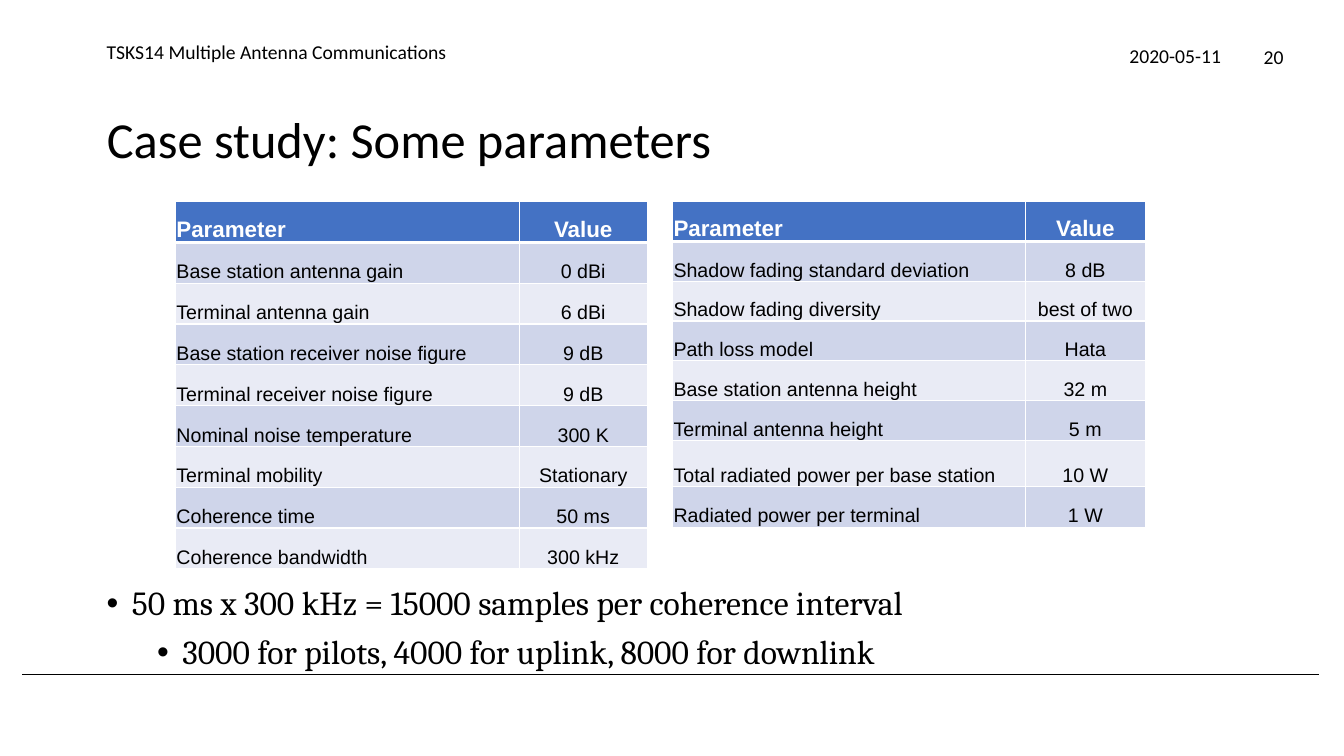
import dataclasses

import lxml.etree
import pptx
import pptx.dml.color
import pptx.enum.shapes
import pptx.enum.text
import pptx.oxml.ns
import pptx.util

Inches, Pt = pptx.util.Inches, pptx.util.Pt
ALIGN = pptx.enum.text.PP_ALIGN
ANCHOR = pptx.enum.text.MSO_ANCHOR


@dataclasses.dataclass(frozen=True)
class Theme:
    ink: str = "000000"
    paper: str = "FFFFFF"
    head: str = "4472C4"
    bands: tuple = ("CFD5EA", "E9EBF5")
    sans: str = "Calibri"
    serif: str = "Cambria"
    grid: str = "Arial"
    title: int = 36
    body: int = 24
    label: int = 16
    small: int = 14


THEME = Theme()

LEFT = [
    ("Parameter", "Value"),
    ("Base station antenna gain", "0 dBi"),
    ("Terminal antenna gain", "6 dBi"),
    ("Base station receiver noise figure", "9 dB"),
    ("Terminal receiver noise figure", "9 dB"),
    ("Nominal noise temperature", "300 K"),
    ("Terminal mobility", "Stationary"),
    ("Coherence time", "50 ms"),
    ("Coherence bandwidth", "300 kHz"),
]
RIGHT = [
    ("Parameter", "Value"),
    ("Shadow fading standard deviation", "8 dB"),
    ("Shadow fading diversity", "best of two"),
    ("Path loss model", "Hata"),
    ("Base station antenna height", "32 m"),
    ("Terminal antenna height", "5 m"),
    ("Total radiated power per base station", "10 W"),
    ("Radiated power per terminal", "1 W"),
]
POINTS = [
    "50 ms x 300 kHz = 15000 samples per coherence interval",
    "3000 for pilots, 4000 for uplink, 8000 for downlink",
]


def rgb(code):
    return pptx.dml.color.RGBColor.from_string(code)


def node(parent, tag, **attrs):
    """Append an XML child such as a:ln to parent."""
    return lxml.etree.SubElement(parent, pptx.oxml.ns.qn(tag), attrs)


def assign(item, values):
    for name, value in values.items():
        setattr(item, name, value)


def write(para, text, face, size, color=THEME.ink, bold=False, align=ALIGN.LEFT):
    para.alignment = align
    run = para.add_run()
    run.text = text
    assign(run.font, {"name": face, "size": Pt(size), "bold": bold})
    run.font.color.rgb = rgb(color)


def setup(frame, anchor=ANCHOR.TOP):
    assign(frame, {
        "word_wrap": True,
        "auto_size": pptx.enum.text.MSO_AUTO_SIZE.NONE,
        "vertical_anchor": anchor,
    })


def add_box(slide, *box):
    return slide.shapes.add_textbox(*map(Inches, box)).text_frame


def add_title(slide, text, *box):
    title = slide.shapes.title
    assign(title, dict(zip(("left", "top", "width", "height"), map(Inches, box))))
    setup(title.text_frame)
    para = title.text_frame.paragraphs[0]
    para.line_spacing = 0.9
    write(para, text, THEME.sans, THEME.title)


def add_note(slide, text, *box, align=ALIGN.RIGHT, anchor=ANCHOR.TOP):
    frame = add_box(slide, *box)
    setup(frame, anchor)
    write(frame.paragraphs[0], text, THEME.sans, THEME.small, align=align)


def add_points(slide, points, *box):
    """Write bullets, each one level deeper than the last."""
    frame = add_box(slide, *box)
    setup(frame)
    for level, text in enumerate(points):
        para = frame.add_paragraph() if level else frame.paragraphs[0]
        assign(para, {"level": level, "line_spacing": 0.9, "space_before": Pt(9)})
        write(para, text, THEME.serif, THEME.body)
        props = para._p.get_or_add_pPr()
        props.set("marL", str(Inches(0.25 + 0.5 * level)))
        props.set("indent", str(-Inches(0.25)))
        node(props, "a:buFont", typeface="Arial")
        node(props, "a:buChar", char="•")


def add_rule(slide, left, right, top):
    line = slide.shapes.add_connector(
        pptx.enum.shapes.MSO_CONNECTOR.STRAIGHT,
        Inches(left), Inches(top), Inches(right), Inches(top))
    line.line.width = Pt(0.75)
    line.line.color.rgb = rgb(THEME.ink)
    node(line._element.spPr, "a:effectLst")


def edge(cell, head):
    props = cell._tc.get_or_add_tcPr()
    for side in "LRTB":
        width = Pt(3 if head and side == "B" else 1)
        line = node(props, "a:ln" + side, w=str(width))
        node(node(line, "a:solidFill"), "a:srgbClr", val=THEME.paper)


def fill_cell(cell, text, row, col):
    head = row == 0
    edge(cell, head)
    cell.fill.solid()
    cell.fill.fore_color.rgb = rgb(THEME.head if head else THEME.bands[(row - 1) % 2])
    assign(cell, {
        "vertical_anchor": ANCHOR.BOTTOM,
        "margin_left": Inches(0.01),
        "margin_right": Inches(0.01),
        "margin_top": Inches(0.01),
        "margin_bottom": 0,
    })
    write(cell.text_frame.paragraphs[0], text, THEME.grid,
          THEME.label if head else THEME.small,
          THEME.paper if head else THEME.ink, head,
          ALIGN.CENTER if col else ALIGN.LEFT)


def add_grid(slide, data, left, top, widths, heights):
    table = slide.shapes.add_table(
        len(data), len(widths), Inches(left), Inches(top),
        Inches(sum(widths)), Inches(sum(heights))).table
    for col, width in zip(table.columns, widths):
        col.width = Inches(width)
    for row, height in zip(table.rows, heights):
        row.height = Inches(height)
    for r, texts in enumerate(data):
        for c, text in enumerate(texts):
            fill_cell(table.cell(r, c), text, r, c)


def main():
    deck = pptx.Presentation()
    assign(deck, {"slide_width": Inches(13.33), "slide_height": Inches(7.5)})
    slide = deck.slides.add_slide(deck.slide_layouts.get_by_name("Title Only"))
    add_rule(slide, 0.22, 13.08, 6.69)
    add_title(slide, "Case study: Some parameters", 0.96, 1.09, 11.87, 0.91)
    add_points(slide, POINTS, 0.96, 5.77, 11.87, 0.91)
    add_note(slide, "TSKS14 Multiple Antenna Communications",
             0.96, 0.39, 8.93, 0.29, align=ALIGN.LEFT, anchor=ANCHOR.BOTTOM)
    add_note(slide, "2020-05-11", 10.12, 0.39, 2.09, 0.29)
    add_note(slide, "20", 12.02, 0.4, 0.81, 0.29)
    add_grid(slide, LEFT, 1.74, 2, (3.41, 1.27), [0.405] * len(LEFT))
    add_grid(slide, RIGHT, 6.67, 2, (3.5, 1.19), [0.395] * 6 + [0.46, 0.4])
    deck.save("out.pptx")


if __name__ == "__main__":
    main()
